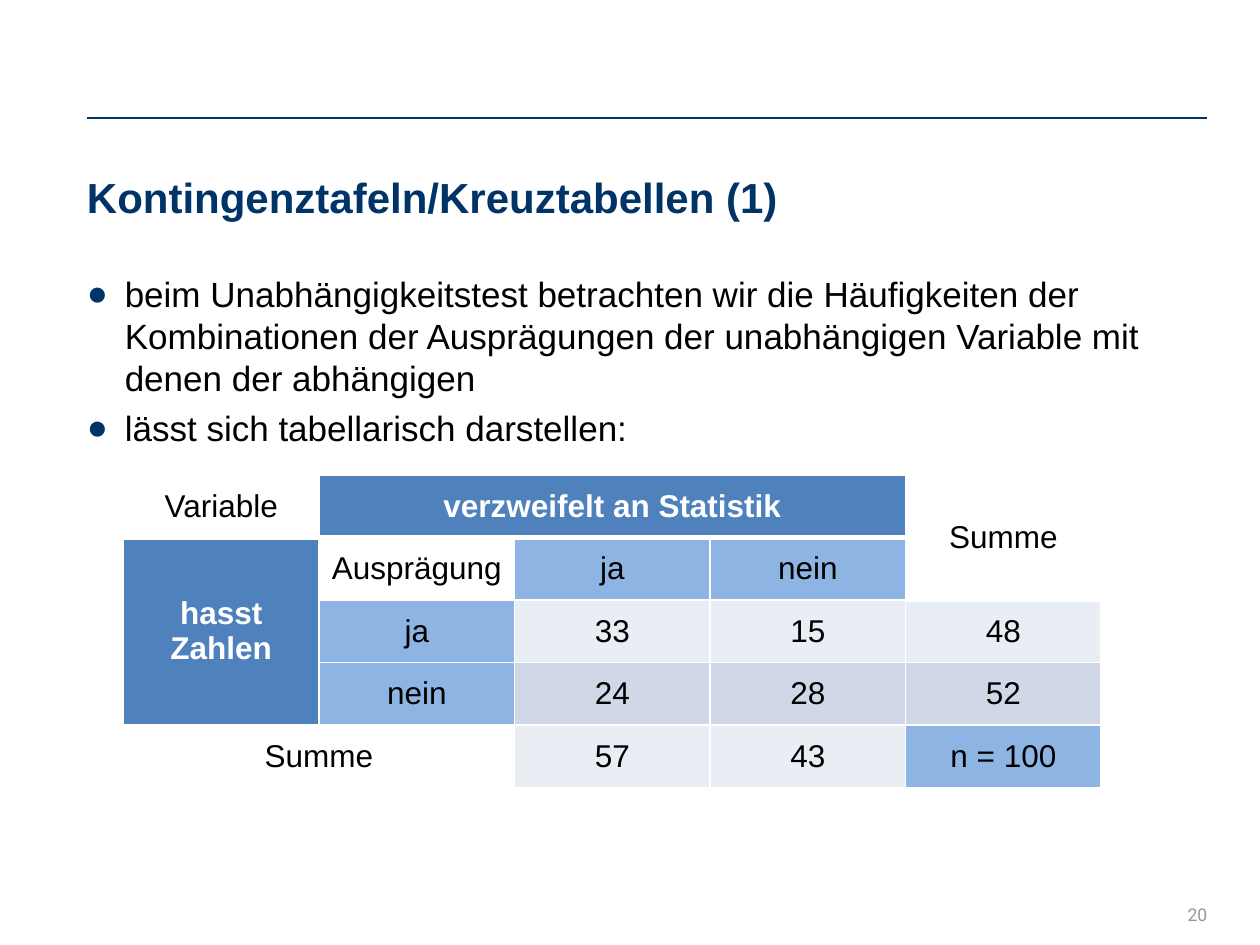
from dataclasses import dataclass

from lxml.etree import SubElement
from pptx import Presentation
from pptx.dml.color import RGBColor
from pptx.enum.shapes import MSO_CONNECTOR
from pptx.enum.text import MSO_ANCHOR, PP_ALIGN
from pptx.oxml.ns import qn
from pptx.util import Inches, Pt


@dataclass(frozen=True)
class Theme:
    navy: str = "003366"
    black: str = "000000"
    white: str = "FFFFFF"
    grey: str = "969696"
    variable: str = "4F81BD"
    level: str = "8EB4E3"
    light_band: str = "E9EDF4"
    dark_band: str = "D0D8E8"
    font: str = "Arial"
    number_font: str = "Roboto"
    title_size: int = 24
    body_size: int = 20
    table_size: int = 18
    number_size: int = 10


THEME = Theme()
WIDTH, HEIGHT = 10, 7.5
LEFT, RIGHT = 0.069 * WIDTH, 0.958 * WIDTH
CONTENT_WIDTH = RIGHT - LEFT
INDENT = Inches(0.3)

TITLE = "Kontingenztafeln/Kreuztabellen (1)"
POINTS = [
    "beim Unabhängigkeitstest betrachten wir die Häufigkeiten der "
    "Kombinationen der Ausprägungen der unabhängigen Variable mit "
    "denen der abhängigen",
    "lässt sich tabellarisch darstellen:",
]
CONTINGENCY = [
    ["Variable", "verzweifelt an Statistik", "", "", "Summe"],
    ["hasst Zahlen", "Ausprägung", "ja", "nein", ""],
    ["", "ja", "33", "15", "48"],
    ["", "nein", "24", "28", "52"],
    ["Summe", "", "57", "43", "n = 100"],
]
# One letter per cell: white, variable, level, light band, dark band
FILL_MAP = ["WVVVW", "VWLLW", "VLaaa", "VLbbb", "WWaaL"]
FILLS = {"W": THEME.white, "V": THEME.variable, "L": THEME.level,
         "a": THEME.light_band, "b": THEME.dark_band}
MERGES = [((0, 1), (0, 3)), ((0, 4), (1, 4)), ((1, 0), (3, 0)), ((4, 0), (4, 1))]


def apply_format(target, **values):
    for attribute, value in values.items():
        setattr(target, attribute, value)


def write(paragraph, text, size, color, font=THEME.font, bold=False, **layout):
    """Add one run to the paragraph and set the paragraph's layout."""
    apply_format(paragraph, **layout)
    run = paragraph.add_run()
    run.text = text
    apply_format(run.font, name=font, size=Pt(size), bold=bold)
    run.font.color.rgb = RGBColor.from_string(color)


def add_text_frame(slide, left, top, width, height, **frame_format):
    box = slide.shapes.add_textbox(*map(Inches, (left, top, width, height)))
    margins = dict.fromkeys(
        ("margin_left", "margin_top", "margin_right", "margin_bottom"), 0)
    apply_format(box.text_frame, word_wrap=True, **{**margins, **frame_format})
    return box.text_frame


def add_header_rule(slide):
    y = Inches(0.125 * HEIGHT)
    rule = slide.shapes.add_connector(
        MSO_CONNECTOR.STRAIGHT, Inches(LEFT), y, Inches(RIGHT), y)
    rule.line.width = Pt(0.75)
    rule.line.color.rgb = RGBColor.from_string(THEME.navy)
    SubElement(rule._element.spPr, qn("a:effectLst"))


def add_title(slide):
    frame = add_text_frame(slide, LEFT, 1.37, CONTENT_WIDTH, 0.39)
    write(frame.paragraphs[0], TITLE, THEME.title_size, THEME.navy,
          bold=True, line_spacing=Pt(28))


def set_bullet(paragraph):
    properties = paragraph._p.get_or_add_pPr()
    properties.set("marL", str(INDENT))
    properties.set("indent", str(-INDENT))
    color = SubElement(properties, qn("a:buClr"))
    SubElement(color, qn("a:srgbClr"), val=THEME.navy)
    SubElement(properties, qn("a:buFont"), typeface=THEME.font)
    SubElement(properties, qn("a:buChar"), char="●")


def add_bullets(slide):
    frame = add_text_frame(slide, LEFT, 2.16, CONTENT_WIDTH, 4.85)
    for index, point in enumerate(POINTS):
        paragraph = frame.add_paragraph() if index else frame.paragraphs[0]
        write(paragraph, point, THEME.body_size, THEME.black,
              line_spacing=Pt(24), space_before=Pt(4.8))
        set_bullet(paragraph)


def set_borders(cell, **widths):
    """Draw white borders; the keywords L, R, T and B give widths in points."""
    properties = cell._tc.get_or_add_tcPr()
    for side, width in widths.items():
        border = SubElement(properties, qn(f"a:ln{side}"), w=str(Pt(width)))
        fill = SubElement(border, qn("a:solidFill"))
        SubElement(fill, qn("a:srgbClr"), val=THEME.white)


def format_cell(cell, text, fill, row):
    set_borders(cell, L=1, R=1, T=3 if row == 1 else 1, B=3 if row == 0 else 1)
    cell.fill.solid()
    cell.fill.fore_color.rgb = RGBColor.from_string(fill)
    cell.vertical_anchor = MSO_ANCHOR.MIDDLE
    if text:
        is_variable = fill == THEME.variable
        write(cell.text_frame.paragraphs[0], text, THEME.table_size,
              THEME.white if is_variable else THEME.black,
              bold=is_variable, alignment=PP_ALIGN.CENTER)


def add_contingency_table(slide):
    row_count, column_count = len(CONTINGENCY), len(CONTINGENCY[0])
    table = slide.shapes.add_table(
        row_count, column_count,
        *map(Inches, (0.98, 3.77, 7.76, 2.48))).table
    apply_format(table, first_row=False, horz_banding=False)
    for start, end in MERGES:
        table.cell(*start).merge(table.cell(*end))
    for row, (texts, fills) in enumerate(zip(CONTINGENCY, FILL_MAP)):
        for column, (text, fill) in enumerate(zip(texts, fills)):
            format_cell(table.cell(row, column), text, FILLS[fill], row)


def add_slide_number(slide):
    side = 0.49
    frame = add_text_frame(slide, RIGHT - side, HEIGHT - side, side, side,
                           margin_left=Inches(0.1),
                           vertical_anchor=MSO_ANCHOR.MIDDLE)
    write(frame.paragraphs[0], "20", THEME.number_size, THEME.grey,
          font=THEME.number_font, alignment=PP_ALIGN.RIGHT)


def main():
    presentation = Presentation()
    apply_format(presentation, slide_width=Inches(WIDTH), slide_height=Inches(HEIGHT))
    slide = presentation.slides.add_slide(presentation.slide_layouts[6])
    add_header_rule(slide)
    add_title(slide)
    add_bullets(slide)
    add_slide_number(slide)
    add_contingency_table(slide)
    presentation.save("out.pptx")


if __name__ == "__main__":
    main()
